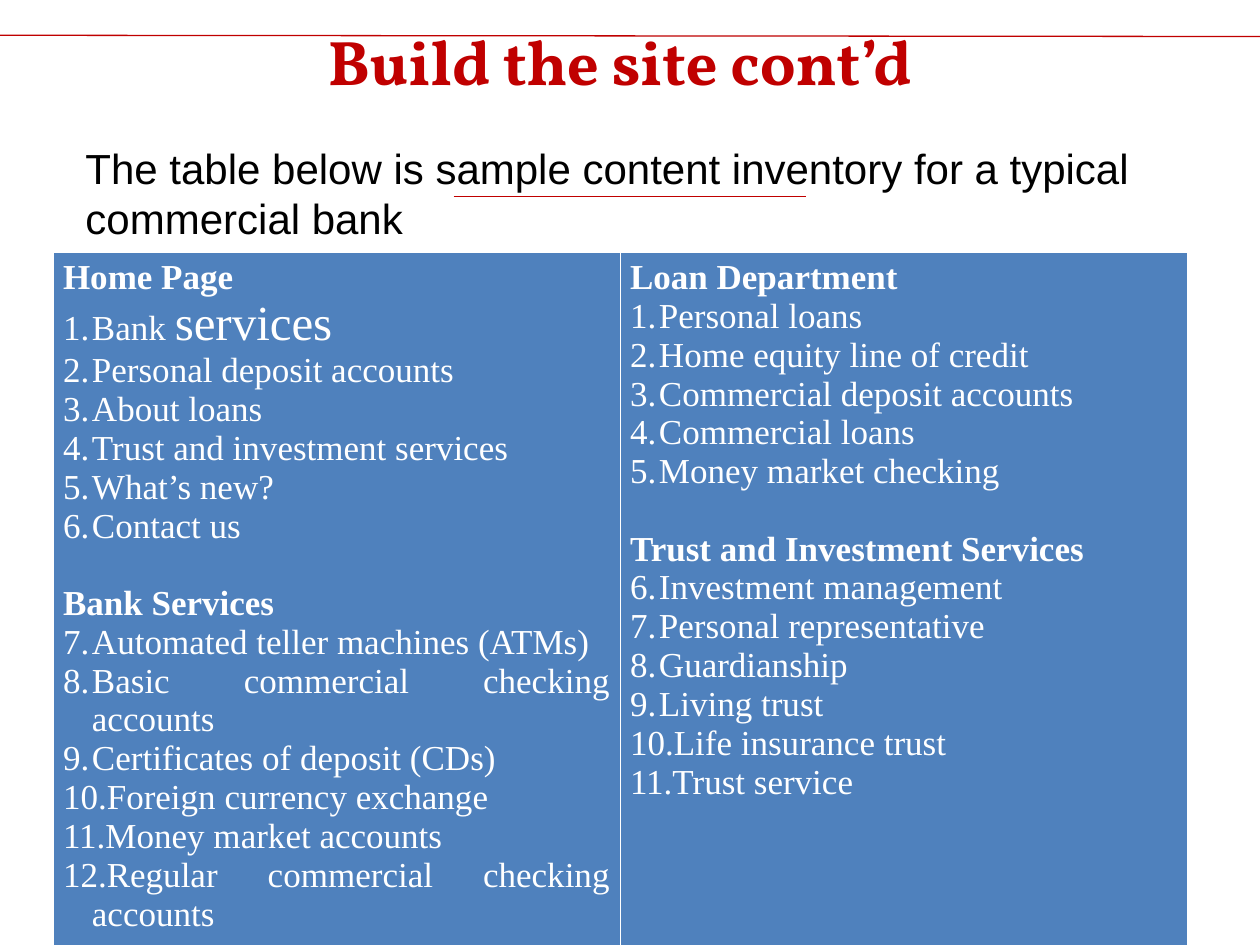
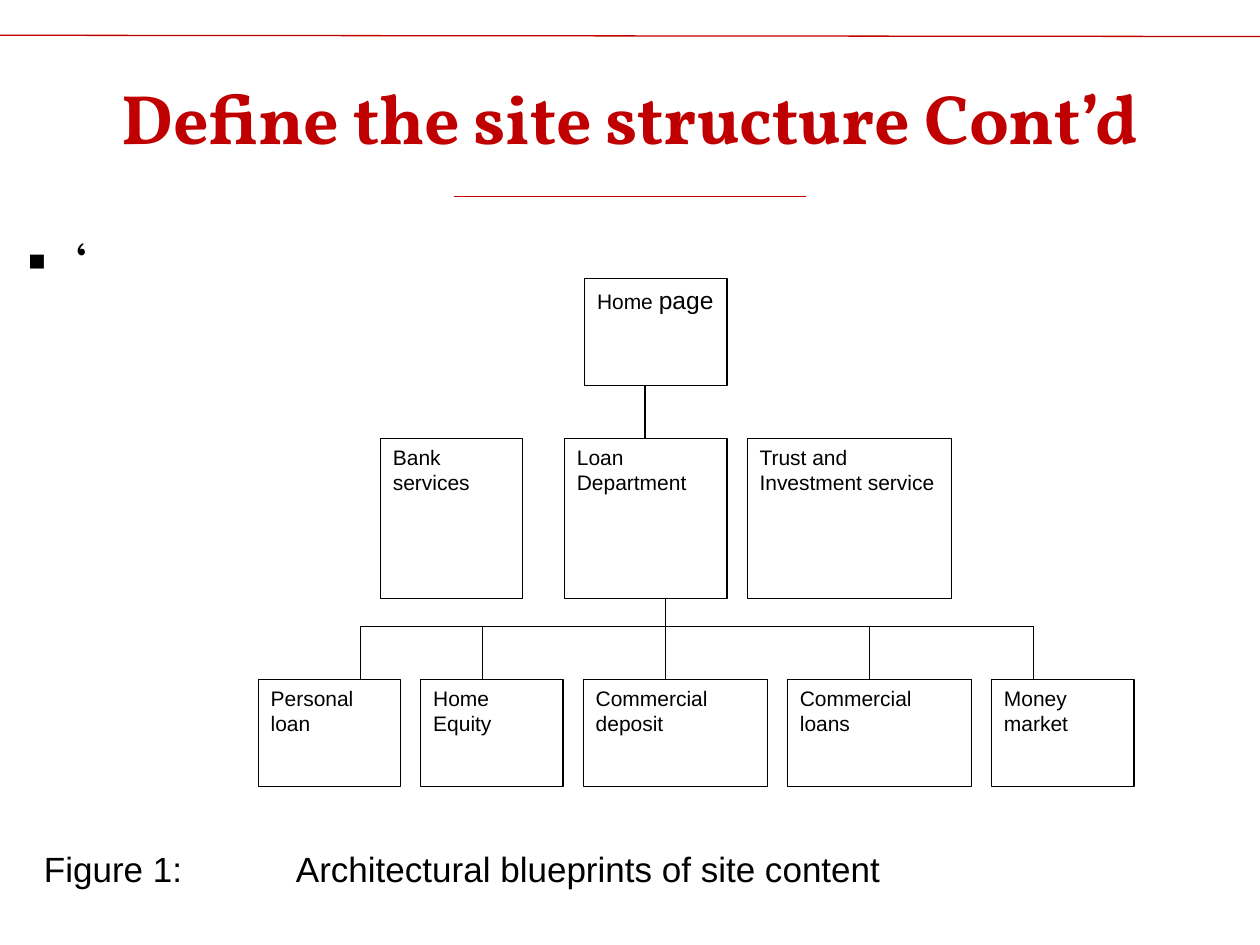
from dataclasses import dataclass
from typing import NamedTuple

from lxml import etree
from pptx import Presentation
from pptx.dml.color import RGBColor
from pptx.enum.shapes import MSO_CONNECTOR as Connector, MSO_SHAPE as Preset
from pptx.enum.text import MSO_ANCHOR as Anchor, PP_ALIGN as Align
from pptx.oxml.ns import qn
from pptx.util import Inches, Pt


@dataclass(frozen=True)
class Theme:
    red: str = "C00000"
    black: str = "000000"
    white: str = "FFFFFF"
    blue: str = "4F81BD"
    pale_blue: str = "D0D8E8"
    title_font: str = "Vollkorn"
    body_font: str = "Arial"
    table_font: str = "Times New Roman"
    quote_font: str = "TeX Gyre Bonum"
    title: float = 40
    small_title: float = 36
    quote: float = 32
    emphasis: float = 28
    intro: float = 24
    table: float = 20
    caption: float = 20
    box_emphasis: float = 14
    box: float = 12
    section_gap: float = 22
    rule: float = 0.75
    cell_border: float = 0.45


THEME = Theme()


class Area(NamedTuple):
    left: float
    top: float
    width: float
    height: float

    def lengths(self) -> list:
        return [Inches(value) for value in self]


class Section(NamedTuple):
    heading: str
    first_number: int
    items: list


class Unit(NamedTuple):
    label: str
    left: float
    width: float


class Rule(NamedTuple):
    x1: float
    y1: float
    x2: float
    y2: float


# Content
INVENTORY = [
    [
        Section("Home Page", 1, [
            "Bank |services", "Personal deposit accounts", "About loans",
            "Trust and investment services", "What’s new?", "Contact us"]),
        Section("Bank Services", 7, [
            "Automated teller machines (ATMs)",
            "Basic commercial checking accounts",
            "Certificates of deposit (CDs)", "Foreign currency exchange",
            "Money market accounts", "Regular commercial checking accounts"]),
    ],
    [
        Section("Loan Department", 1, [
            "Personal loans", "Home equity line of credit",
            "Commercial deposit accounts", "Commercial loans",
            "Money market checking"]),
        Section("Trust and Investment Services", 6, [
            "Investment management", "Personal representative",
            "Guardianship", "Living trust", "Life insurance trust",
            "Trust service"]),
    ],
]
DEPARTMENTS = [
    Unit("Bank services", 3.02, 1.13),
    Unit("Loan Department", 4.48, 1.29),
    Unit("Trust and Investment service", 5.93, 1.62),
]
LOAN_PAGES = [("Personal loan", 1.13), ("Home Equity", 1.13),
              ("Commercial deposit", 1.46), ("Commercial loans", 1.46),
              ("Money market", 1.13)]


# Text and drawing helpers
def color(value: str) -> RGBColor:
    return RGBColor.from_string(value)


def write(paragraph, text: str, *, size: float, emphasis: float = 0,
          font: str = THEME.body_font, ink: str = THEME.black,
          bold: bool = False, align=Align.LEFT) -> None:
    """Write text; the part after a bar takes the emphasis size."""
    paragraph.alignment = align
    for index, part in enumerate(text.split("|")):
        run = paragraph.add_run()
        run.text = part
        run.font.name = font
        run.font.size = Pt(emphasis if index else size)
        run.font.bold = bold
        run.font.color.rgb = color(ink)


def add_mark(paragraph, indent: float, tag: str, **attributes: str) -> None:
    """Give the paragraph a hanging bullet or number."""
    properties = paragraph._p.get_or_add_pPr()
    properties.set("marL", str(Inches(indent)))
    properties.set("indent", str(-Inches(indent)))
    if tag == "a:buChar":
        etree.SubElement(properties, qn("a:buFont"), typeface=THEME.body_font)
    etree.SubElement(properties, qn(tag), **attributes)


def add_tab(paragraph, position: float) -> None:
    tabs = etree.SubElement(paragraph._p.get_or_add_pPr(), qn("a:tabLst"))
    etree.SubElement(tabs, qn("a:tab"), pos=str(Inches(position)), algn="l")


def add_text_area(slide, area: Area, anchor=Anchor.TOP):
    """Add a wrapping text area and return its first paragraph."""
    frame = slide.shapes.add_textbox(*area.lengths()).text_frame
    frame.word_wrap = True
    frame.vertical_anchor = anchor
    return frame.paragraphs[0]


def add_rule(slide, rule: Rule, ink: str) -> None:
    line = slide.shapes.add_connector(
        Connector.STRAIGHT, *[Inches(value) for value in rule])
    line.line.color.rgb = color(ink)
    line.line.width = Pt(THEME.rule)
    etree.SubElement(line._element.spPr, qn("a:effectLst"))


def add_page(deck, title: str, area: Area, size: float):
    """Add a slide with the shared red rules and title style."""
    slide = deck.slides.add_slide(deck.slide_layouts[6])
    for rule in (Rule(0, 0.28, 10, 0.29), Rule(3.6, 1.56, 6.4, 1.56)):
        add_rule(slide, rule, THEME.red)
    write(add_text_area(slide, area, Anchor.MIDDLE), title, size=size,
          font=THEME.title_font, ink=THEME.red, bold=True, align=Align.CENTER)
    return slide


# Content inventory table
def style_cell(cell, fill_color: str) -> None:
    cell.fill.solid()
    cell.fill.fore_color.rgb = color(fill_color)
    cell.margin_left = cell.margin_right = Inches(0.08)
    cell.margin_top = cell.margin_bottom = Inches(0.05)
    properties = cell._tc.get_or_add_tcPr()
    for index, side in enumerate(("lnL", "lnR", "lnT", "lnB")):
        border = etree.Element(qn(f"a:{side}"), w=str(Pt(THEME.cell_border)))
        fill = etree.SubElement(border, qn("a:solidFill"))
        etree.SubElement(fill, qn("a:srgbClr"), val=THEME.white)
        properties.insert(index, border)


def write_sections(frame, sections: list) -> None:
    style = dict(size=THEME.table, emphasis=THEME.emphasis,
                 font=THEME.table_font, ink=THEME.white, align=Align.JUSTIFY)
    for index, section in enumerate(sections):
        heading = frame.add_paragraph() if index else frame.paragraphs[0]
        if index:
            heading.space_before = Pt(THEME.section_gap)
        write(heading, section.heading, bold=True, **style)
        for item in section.items:
            entry = frame.add_paragraph()
            add_mark(entry, 0.23, "a:buAutoNum", type="arabicPeriod",
                     startAt=str(section.first_number))
            write(entry, item, **style)


def build_inventory(deck) -> None:
    slide = add_page(deck, "Build the site cont’d",
                     Area(0.42, 0, 9, 0.95), THEME.small_title)
    row_styles = [(5.8, THEME.blue), (0.64, THEME.pale_blue)]
    area = Area(0.42, 2, 9, sum(height for height, _ in row_styles))
    table = slide.shapes.add_table(
        len(row_styles), len(INVENTORY), *area.lengths()).table
    table.first_row = table.horz_banding = False
    for row, (height, fill_color) in zip(table.rows, row_styles):
        row.height = Inches(height)
        for cell in row.cells:
            style_cell(cell, fill_color)
    for cell, sections in zip(table.rows[0].cells, INVENTORY):
        write_sections(cell.text_frame, sections)
    write(add_text_area(slide, Area(0.58, 1.08, 8.75, 1.3)),
          "The table below is sample content inventory for a typical "
          "commercial bank", size=THEME.intro)


# Site structure diagram
def add_unit(slide, unit: Unit, top: float, height: float) -> None:
    area = Area(unit.left, top, unit.width, height)
    box = slide.shapes.add_shape(Preset.RECTANGLE, *area.lengths())
    box.shadow.inherit = False
    box.fill.solid()
    box.fill.fore_color.rgb = color(THEME.white)
    box.line.color.rgb = color(THEME.black)
    box.line.width = Pt(THEME.rule)
    box.text_frame.word_wrap = True
    box.text_frame.vertical_anchor = Anchor.TOP
    write(box.text_frame.paragraphs[0], unit.label, size=THEME.box,
          emphasis=THEME.box_emphasis)


def build_structure(deck) -> None:
    slide = add_page(deck, "Define the site structure Cont’d",
                     Area(0.12, 0.3, 9.76, 1.25), THEME.title)
    quote = add_text_area(slide, Area(0.12, 1.75, 9.76, 5.15))
    add_mark(quote, 0.38, "a:buChar", char="▪")
    write(quote, "‘", size=THEME.quote, font=THEME.quote_font)

    # Boxes, level by level
    home_top, department_top, page_top = 2.21, 3.48, 5.39
    page_height, department_height, gap = 0.85, 1.27, 0.16
    add_unit(slide, Unit("Home |page", 4.64, 1.13), home_top, page_height)
    for department in DEPARTMENTS:
        add_unit(slide, department, department_top, department_height)
    left = 2.05
    for label, width in LOAN_PAGES:
        add_unit(slide, Unit(label, left, width), page_top, page_height)
        left += width + gap

    # Branches between the levels
    branch_y, trunk_x = 4.97, 5.28
    drops = [2.86, 3.83, 6.9, 8.2]
    branches = [
        Rule(5.12, home_top + page_height, 5.12, department_top),
        Rule(trunk_x, department_top + department_height, trunk_x, page_top),
        Rule(drops[0], branch_y, drops[-1], branch_y),
        *[Rule(x, branch_y, x, page_top) for x in drops],
    ]
    for branch in branches:
        add_rule(slide, branch, THEME.black)

    caption = add_text_area(slide, Area(0.25, 6.67, 7.92, 0.44), Anchor.MIDDLE)
    add_tab(caption, 2)
    write(caption, "Figure 1:\tArchitectural blueprints of site content",
          size=THEME.caption, align=Align.JUSTIFY)


def main() -> None:
    deck = Presentation()
    deck.slide_width, deck.slide_height = Inches(10), Inches(7.5)
    build_inventory(deck)
    build_structure(deck)
    deck.save("out.pptx")


if __name__ == "__main__":
    main()
